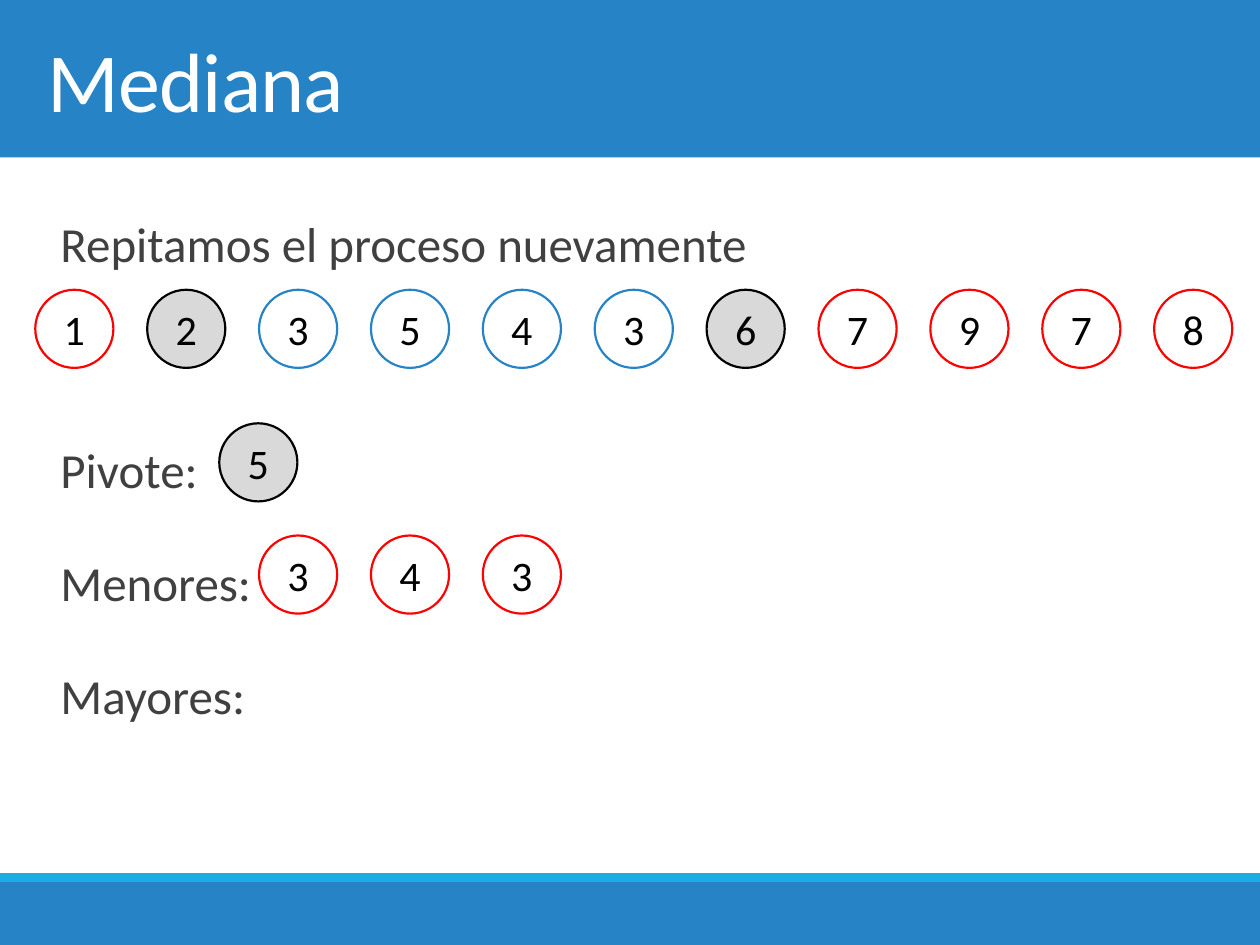
from dataclasses import dataclass

from pptx import Presentation
from pptx.dml.color import RGBColor
from pptx.enum.shapes import MSO_SHAPE
from pptx.enum.text import MSO_ANCHOR, PP_ALIGN
from pptx.util import Inches, Pt

RECT, OVAL = MSO_SHAPE.RECTANGLE, MSO_SHAPE.OVAL
MIDDLE, CENTER = MSO_ANCHOR.MIDDLE, PP_ALIGN.CENTER


@dataclass(frozen=True)
class Theme:
    font: str = "Calibri"
    blue: str = "2683C6"
    cyan: str = "1CADE4"
    white: str = "FFFFFF"
    black: str = "000000"
    red: str = "FF0000"
    gray: str = "D9D9D9"
    body: str = "404040"
    title_size: int = 48
    body_size: int = 28
    number_size: int = 24


THEME = Theme()

# Content
TITLE = "Mediana"
# Text and space before it in points
LINES = [("Repitamos el proceso nuevamente", 12), ("Pivote:", 77),
         ("Menores:", 12), ("Mayores: ", 12)]
BANDS = [(0, 1.25, THEME.blue), (7, 0.5, THEME.blue), (6.93, 0.07, THEME.cyan)]
# Kind of number: fill, outline
STYLES = {"pivot": (THEME.gray, THEME.black),
          "done": (THEME.white, THEME.red),
          "open": (THEME.white, THEME.blue)}
SEQUENCE = [(1, "done"), (2, "pivot"), (3, "open"), (5, "open"), (4, "open"),
            (3, "open"), (6, "pivot"), (7, "done"), (9, "done"), (7, "done"),
            (8, "done")]
PIVOT = 5
SMALLER = [3, 4, 3]

# Layout
MARGIN, TEXT_WIDTH = 0.28, 9.45
DIAMETER = 0.62
PITCH = (9.16 - MARGIN) / (len(SEQUENCE) - 1)
SEQUENCE_TOP, PIVOT_TOP, SMALLER_TOP = 2.3, 3.36, 4.25
PIVOT_LEFT = 1.74
SMALLER_SLOT = 2

deck = Presentation()
deck.slide_width, deck.slide_height = Inches(10), Inches(7.5)
slide = deck.slides.add_slide(deck.slide_layouts[6])


def style_text(paragraph, size, color):
    font = paragraph.font
    font.name, font.size = THEME.font, Pt(size)
    font.color.rgb = RGBColor.from_string(color)


def add_filled(kind, left, top, width, height, fill):
    shape = slide.shapes.add_shape(
        kind, Inches(left), Inches(top), Inches(width), Inches(height))
    shape.shadow.inherit = False
    shape.fill.solid()
    shape.fill.fore_color.rgb = RGBColor.from_string(fill)
    return shape


def add_text_frame(top, height):
    frame = slide.shapes.add_textbox(
        Inches(MARGIN), Inches(top), Inches(TEXT_WIDTH), Inches(height)).text_frame
    frame.word_wrap = True
    return frame


def add_number(number, kind, left, top):
    fill, outline = STYLES[kind]
    circle = add_filled(OVAL, left, top, DIAMETER, DIAMETER, fill)
    circle.line.color.rgb = RGBColor.from_string(outline)
    circle.line.width = Pt(1.25)
    circle.text_frame.vertical_anchor = MIDDLE
    label = circle.text_frame.paragraphs[0]
    label.text = str(number)
    label.alignment = CENTER
    style_text(label, THEME.number_size, THEME.black)


def slot_left(slot):
    return MARGIN + slot * PITCH


# Header and footer bands
for top, height, color in BANDS:
    add_filled(RECT, 0, top, 10, height, color).line.fill.background()

# Title
title_frame = add_text_frame(0, 1.25)
title_frame.vertical_anchor = MIDDLE
title = title_frame.paragraphs[0]
title.text = TITLE
style_text(title, THEME.title_size, THEME.white)
title.runs[0]._r.get_or_add_rPr().set("spc", "-50")

# Body lines
body_frame = add_text_frame(1.41, 5.36)
body_frame.margin_left = Inches(0.2)
for index, (text, space_before) in enumerate(LINES):
    line = body_frame.add_paragraph() if index else body_frame.paragraphs[0]
    line.text = text
    line.line_spacing = 1.5
    line.space_before, line.space_after = Pt(space_before), Pt(2)
    style_text(line, THEME.body_size, THEME.body)

# Numbers
add_number(PIVOT, "pivot", PIVOT_LEFT, PIVOT_TOP)
for slot, (number, kind) in enumerate(SEQUENCE):
    add_number(number, kind, slot_left(slot), SEQUENCE_TOP)
for slot, number in enumerate(SMALLER, SMALLER_SLOT):
    add_number(number, "done", slot_left(slot), SMALLER_TOP)

deck.save("out.pptx")
